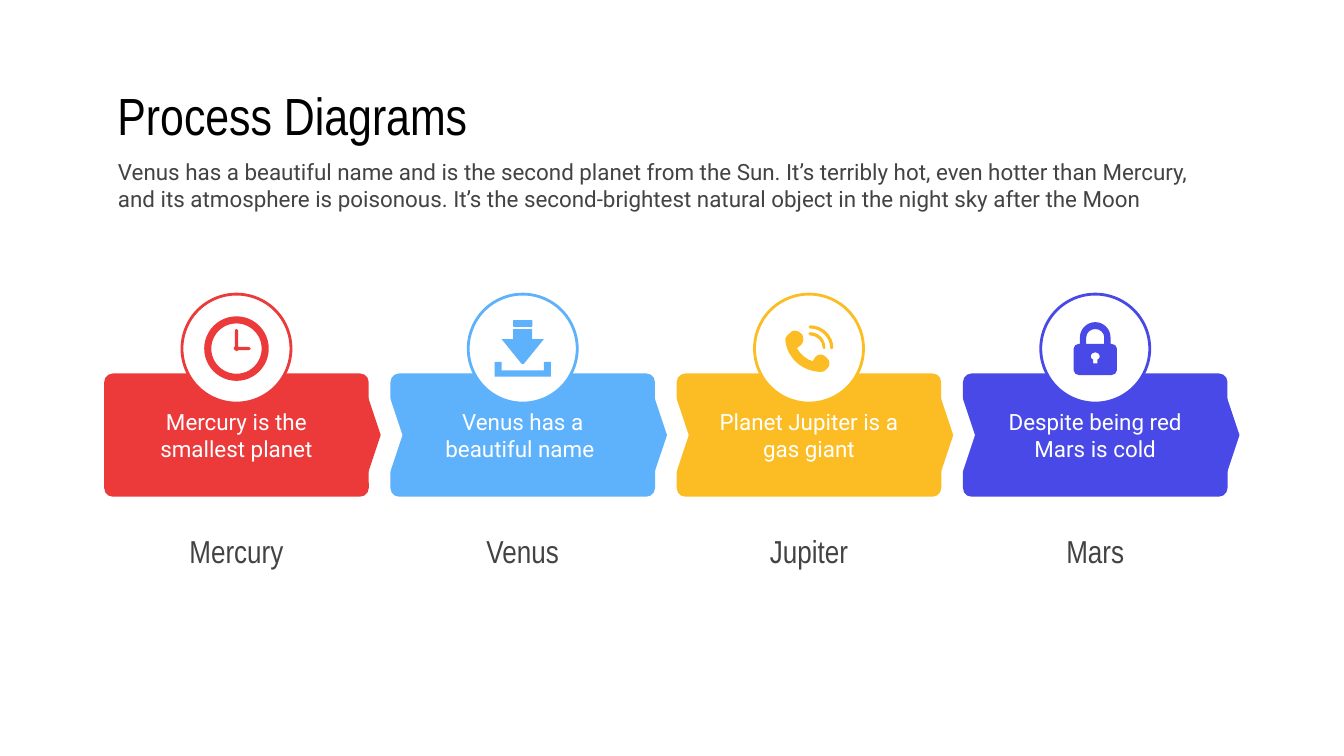
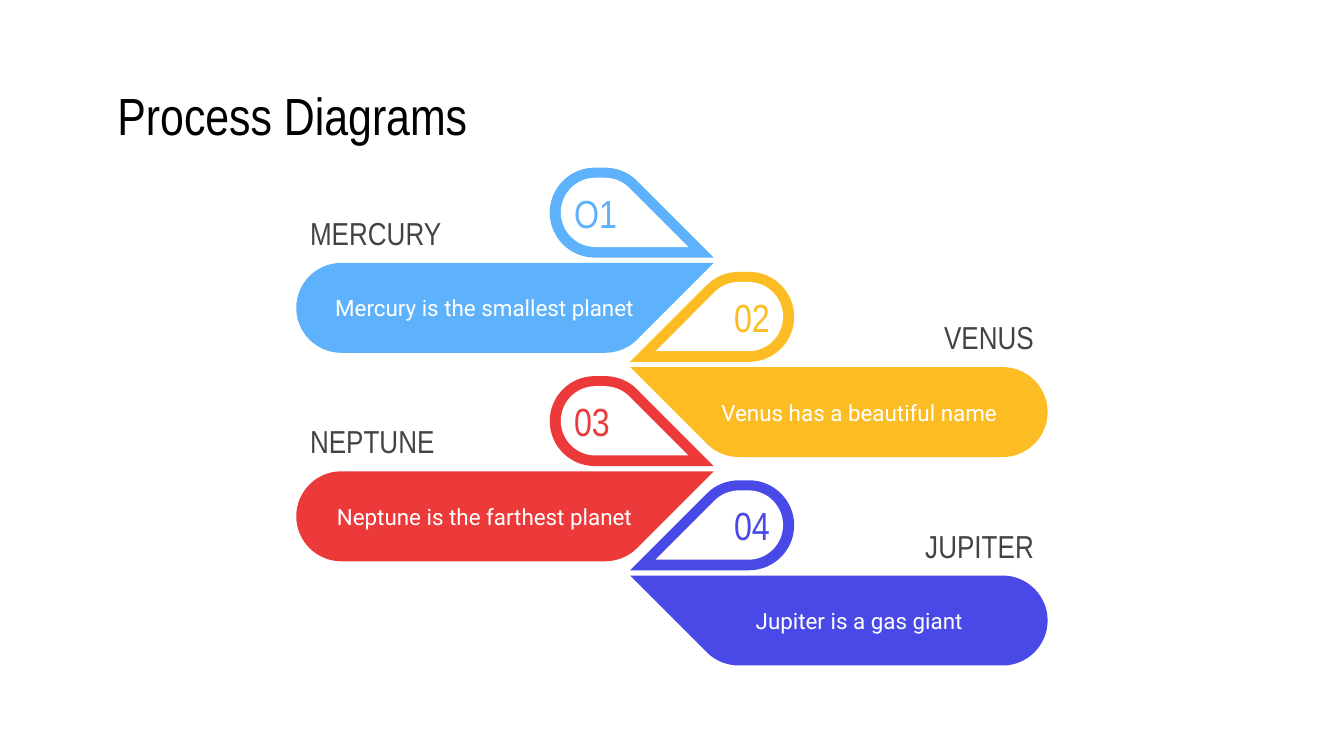
"""Builds two process diagram slides about the planets."""
from pptx import Presentation
from pptx.dml.color import RGBColor
from pptx.enum.shapes import MSO_SHAPE as Geo
from pptx.enum.text import MSO_ANCHOR, PP_ALIGN
from pptx.oxml.ns import qn
from pptx.util import Cm, Pt

RED, BLUE, GOLD, NAVY = "EC3A3B", "5EB2FC", "FCBD24", "4949E7"
WHITE, BLACK, GREY = "FFFFFF", "000000", "434343"
HEAD, BODY = "Arial Narrow", "Roboto"
LEFT, MID, RIGHT = PP_ALIGN.LEFT, PP_ALIGN.CENTER, PP_ALIGN.RIGHT


def form(page, kind, x, y, w, h, fill=None, line=None, adj=None):
    """Draw a text box (None), a preset, or loops of lines (2 values) and curves (6)."""
    if kind is None:
        return page.shapes.add_textbox(Cm(x), Cm(y), Cm(w), Cm(h))
    if isinstance(kind, list):
        pen = None
        for loop in kind:
            dots = [(Cm(x + a * w), Cm(y + b * h))
                    for leg in loop for a, b in zip(leg[::2], leg[1::2])]
            if pen:
                pen.move_to(*dots[0])
            else:
                pen = page.shapes.build_freeform(*dots[0], scale=1.0)
            pen.add_line_segments(dots[1:], close=True)
        shape = pen.convert_to_shape()
        lines = iter(shape.element.findall(".//" + qn("a:lnTo")))
        for leg in [leg for loop in kind for leg in loop[1:]]:
            first = next(lines)
            if len(leg) == 6:
                first.tag = qn("a:cubicBezTo")
                for more in next(lines), next(lines):
                    first.append(more[0])
                    more.getparent().remove(more)
    else:
        shape = page.shapes.add_shape(kind, Cm(x), Cm(y), Cm(w), Cm(h))
    shape.shadow.inherit = False
    if adj is not None:
        shape.adjustments[0] = adj
    for part, hue in (shape.fill, fill), (shape.line.fill, line):
        if hue:
            part.solid()
            part.fore_color.rgb = RGBColor.from_string(hue)
        else:
            part.background()
    if line:
        shape.line.width = Pt(1.5)
    return shape


def write(shape, text, font, size, hue, align=LEFT, start=0.25, end=0.25):
    """Put one run of text in the middle of a shape's height."""
    frame = shape.text_frame
    frame.word_wrap = True
    frame.vertical_anchor = MSO_ANCHOR.MIDDLE
    frame.margin_left, frame.margin_right = Cm(start), Cm(end)
    frame.margin_top = frame.margin_bottom = Cm(0.25)
    frame.paragraphs[0].alignment = align
    run = frame.paragraphs[0].add_run()
    run.text = text
    run.font.name, run.font.size = font, Pt(size)
    run.font.color.rgb = RGBColor.from_string(hue)


deck = Presentation()
deck.slide_width, deck.slide_height = Cm(25.4), Cm(14.29)
chain, zigzag = [deck.slides.add_slide(deck.slide_layouts[6]) for _ in range(2)]
for page in chain, zigzag:
    title = form(page, None, 1.97, 1.5, 21.46, 1.35)
    write(title, "Process Diagrams", HEAD, 28, BLACK)

hands = [
    (0, -0.37), (-0.02, -0.37, -0.03, -0.36, -0.03, -0.35), (-0.03, -0.04),
    (-0.07, -0.02, -0.05, 0.05, 0, 0.05), (0.02, 0.05, 0.03, 0.04, 0.04, 0.03),
    (0.24, 0.03), (0.28, 0.03, 0.28, -0.03, 0.24, -0.03), (0.04, -0.03),
    (0.03, -0.04), (0.03, -0.35), (0.03, -0.36, 0.02, -0.37, 0, -0.37),
]
tray = [(-0.53, 0.25), (-0.4, 0.25), (-0.4, 0.41), (0.4, 0.41),
        (0.4, 0.25), (0.53, 0.25), (0.53, 0.53), (-0.53, 0.53)]
arrow = [(-0.18, -0.37), (0.18, -0.37), (0.18, -0.18), (0.4, -0.18),
         (0.02, 0.29), (-0.02, 0.29), (-0.4, -0.18), (-0.18, -0.18)]
phone = [
    (-0.28, -0.34), (-0.31, -0.34, -0.34, -0.32, -0.36, -0.29), (-0.39, -0.27),
    (-0.44, -0.24, -0.46, -0.19, -0.44, -0.11),
    (-0.39, 0.19, -0.13, 0.42, 0.2, 0.44),
    (0.25, 0.45, 0.3, 0.43, 0.33, 0.39), (0.35, 0.37),
    (0.4, 0.32, 0.4, 0.24, 0.35, 0.19), (0.31, 0.15),
    (0.28, 0.13, 0.25, 0.11, 0.22, 0.11), (0.18, 0.11, 0.15, 0.13, 0.12, 0.16),
    (0.07, 0.24), (-0.06, 0.2, -0.16, 0.11, -0.23, -0.01), (-0.16, -0.06),
    (-0.1, -0.1, -0.09, -0.21, -0.13, -0.27), (-0.18, -0.31),
    (-0.2, -0.33, -0.24, -0.34, -0.28, -0.34),
]
far = [(0.02, -0.44), (-0.02, -0.44, -0.02, -0.38, 0.02, -0.38),
       (0.23, -0.38, 0.4, -0.21, 0.4, -0.01), (0.4, 0.02, 0.46, 0.02, 0.46, -0.01),
       (0.46, -0.25, 0.26, -0.44, 0.02, -0.44)]
near = [(0.02, -0.31), (-0.02, -0.31, -0.02, -0.25, 0.02, -0.25),
        (0.15, -0.25, 0.26, -0.14, 0.26, -0.01), (0.26, 0.02, 0.31, 0.02, 0.31, -0.01),
        (0.31, -0.18, 0.18, -0.31, 0.02, -0.31)]
gap = [(0, -0.37), (0.09, -0.37, 0.17, -0.3, 0.17, -0.21), (0.17, -0.09),
       (-0.17, -0.09), (-0.17, -0.21), (-0.17, -0.3, -0.09, -0.37, 0, -0.37)]
hole = [(0, 0.07), (0.1, 0.07, 0.11, 0.19, 0.04, 0.21), (0.04, 0.28),
        (-0.04, 0.28), (-0.04, 0.21), (-0.11, 0.19, -0.1, 0.07, 0, 0.07)]
lock = [
    (0, -0.5), (-0.16, -0.5, -0.29, -0.37, -0.29, -0.21), (-0.29, -0.09),
    (-0.31, -0.09), (-0.36, -0.09, -0.41, -0.05, -0.41, 0), (-0.41, 0.41),
    (-0.41, 0.46, -0.36, 0.5, -0.31, 0.5), (0.31, 0.5),
    (0.36, 0.5, 0.41, 0.46, 0.41, 0.41), (0.41, 0),
    (0.41, -0.05, 0.36, -0.09, 0.31, -0.09), (0.29, -0.09), (0.29, -0.21),
    (0.29, -0.37, 0.16, -0.5, 0, -0.5),
]
unit = (0, 0, 1, 1, None)
clock = [(Geo.DONUT, -0.61, -0.61, 1.22, 1.22, 0.11), ([hands], *unit)]
load = [([tray], *unit),
        (Geo.ROUNDED_RECTANGLE, -0.18, -0.54, 0.36, 0.13, 0.1),
        ([arrow], *unit)]
call = [([loop], *unit) for loop in (phone, far, near)]
steps = [
    ("Mercury", "Mercury is the smallest planet", RED, clock),
    ("Venus", "Venus has a beautiful name ", BLUE, load),
    ("Jupiter", "Planet Jupiter is a gas giant", GOLD, call),
    ("Mars", "Despite being red Mars is cold", NAVY, [([gap, hole, lock], *unit)]),
]
for i, (name, fact, hue, icon) in enumerate(steps):
    left = 1.97 + 5.41 * i
    group = chain.shapes.add_group_shape()
    card = form(group, Geo.ROUNDED_RECTANGLE, left, 7.06, 5, 2.33, hue, None, 0.07)
    write(card, fact, BODY, 12, WHITE, MID, 0.51, 0.51)
    form(group, Geo.OVAL, left + 1.47, 5.56, 2.06, 2.06, WHITE, hue)
    tips = [(4.35, hue), (-0.65, WHITE)] if i else [(4.35, hue)]
    for shift, tint in tips:
        tip = form(group, Geo.ISOSCELES_TRIANGLE, left + shift, 8.1, 1.5, 0.25, tint)
        tip.rotation = 90
    for kind, x, y, w, h, adj in icon:
        form(group, kind, left + 2.5 + x, 6.59 + y, w, h, hue, None, adj)
    label = form(group, None, left + 0.29, 9.82, 4.42, 1.19)
    write(label, name, HEAD, 17, GREY, MID)

intro = form(chain, None, 1.98, 2.82, 21.46, 1.35)
write(intro, "Venus has a beautiful name and is the second planet from the Sun. "
      "It’s terribly hot, even hotter than Mercury, and its atmosphere is "
      "poisonous. It’s the second-brightest natural object in the night sky "
      "after the Moon", BODY, 12, GREY)

rows = [
    (0, "O1", "MERCURY", "Mercury is the smallest planet", BLUE),
    (2, "03", "NEPTUNE", "Neptune is the farthest planet", RED),
    (1, "02", "VENUS", "Venus has a beautiful name", GOLD),
    (3, "04", "JUPITER", "Jupiter is a gas giant", NAVY),
]
for i, mark, name, fact, hue in rows:
    side, align = (1, RIGHT) if i % 2 else (-1, LEFT)
    start, end = (1.02, 0.25) if i % 2 else (0.25, 1.02)
    top, tip = 4.97 + 1.97 * i, 12.7 - side * 0.79
    group = zigzag.shapes.add_group_shape()
    pods = []
    for wide, high, dx, dy, flip, fill in [
        (7.89, 1.7, 0, 0, 1, hue),
        (3.1, 1.7, 0, -0.1, -1, hue),
        (2.41, 1.31, 0.48, -0.3, -1, WHITE),
    ]:
        half = high / 2
        flat, bend = wide - half, half * 0.55
        edge = [
            (0, 0), (0.86 * high, 0.86 * high),
            (0.95 * high, 0.95 * high, 1.08 * high, high, 1.21 * high, high),
            (flat, high),
            (flat + bend, high, wide, half + bend, wide, half),
            (wide, half - bend, flat + bend, 0, flat, 0),
        ]
        pods.append(form(group, [edge], tip + side * dx, top + dy, side, flip, fill))
    write(pods[0], fact, BODY, 12, WHITE, MID, start, end)
    write(pods[2], mark, HEAD, 21, hue, align)
    label = form(group, None, 11.15 + side * 5.54, top - 1.04, 3.1, 0.94)
    write(label, name, HEAD, 17, GREY, align)

deck.save("out.pptx")
